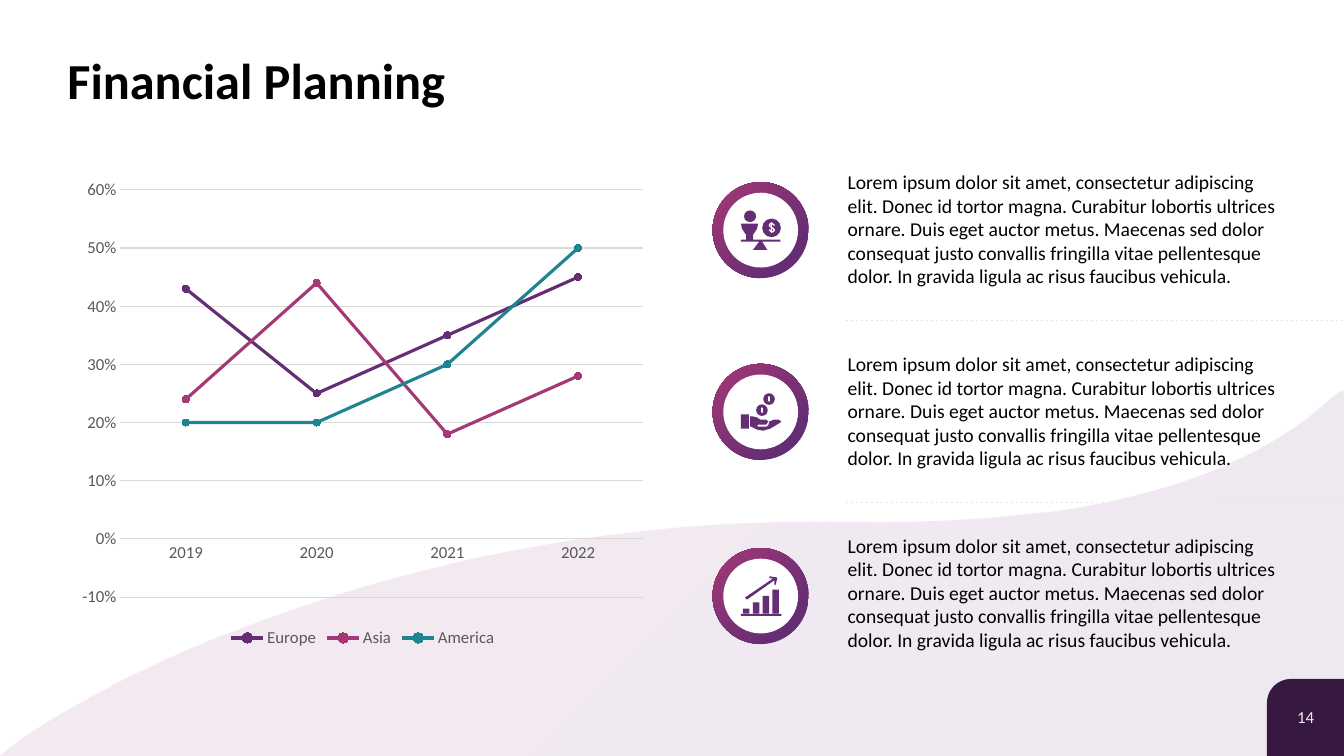
from lxml import etree
from pptx import Presentation
from pptx.chart.data import CategoryChartData
from pptx.dml.color import RGBColor
from pptx.enum import chart as charts, dml, shapes, text
from pptx.oxml import ns
from pptx.util import Cm, Pt

HUES = {
    "plum": "652D74", "rose": "A53975", "teal": "1F8492", "dark": "32163A",
    "white": "FFFFFF", "black": "000000", "gray": "595959", "grid": "D9D9D9",
    "rule": "E7E6E6",
}
LOREM = (
    "Lorem ipsum dolor sit amet, consectetur adipiscing elit. Donec id tortor magna. "
    "Curabitur lobortis ultrices ornare. Duis eget auctor metus. Maecenas sed dolor "
    "consequat justo convallis fringilla vitae pellentesque dolor. "
    "In gravida ligula ac risus faucibus vehicula."
)
SHAPE = shapes.MSO_SHAPE
BODY = [
    (28, 41), (45, 41), (44, 46), (40, 52), (40, 57), (67, 57), (67, 59), (49, 59),
    (54, 67), (40, 67), (46, 59), (28, 59), (28, 57), (33, 57), (33, 52), (29, 46),
]
PALM = [
    (37, 52), (40, 52), (44, 53), (47, 55), (53, 55), (55, 57), (53, 60), (45, 60),
    (44, 61), (45, 62), (53, 62), (55, 61), (56, 57), (61, 55), (65, 55), (68, 57),
    (67, 58), (57, 64), (50, 66), (44, 65), (38, 62), (37, 62),
]
ARROW = [
    (32, 49), (60, 30), (56, 30), (56, 28), (63, 29), (64, 30), (62, 37), (61, 36),
    (61, 32), (34, 51),
]
SIGN = [(61, 43), (59, 41), (57, 41), (56, 43), (61, 47), (60, 49), (58, 49), (56, 47)]


def rgb(name):
    return RGBColor.from_string(HUES[name])


def put(item, **vals):
    for key, val in vals.items():
        setattr(item, key, val)


def style(font, size, hue, bold=False):
    put(font, name="Calibri", size=Pt(size), bold=bold)
    font.color.rgb = rgb(hue)


def paint(shape, hue):
    shape.shadow.inherit = False
    shape.fill.solid()
    shape.fill.fore_color.rgb = rgb(hue)
    shape.line.fill.background()


def blend(shape, alpha=None):
    shape.shadow.inherit = False
    shape.line.fill.background()
    shape.fill.gradient()
    shape.fill.gradient_angle = 135
    for stop, hue, spot in zip(shape.fill.gradient_stops, ("plum", "rose"), (0.21, 1)):
        stop.color.rgb = rgb(hue)
        stop.position = spot
    if alpha:
        for tint in shape.fill._xPr.iter(ns.qn("a:srgbClr")):
            etree.SubElement(tint, ns.qn("a:alpha")).set("val", str(alpha * 1000))


def trace(tree, points, close=True):
    spots = [(Cm(x), Cm(y)) for x, y in points]
    pen = tree.build_freeform(*spots[0])
    pen.add_line_segments(spots[1:], close=close)
    return pen.convert_to_shape()


def curve(a, b, c, d, steps=40):
    for i in range(steps + 1):
        t = i / steps
        s = 1 - t
        yield tuple(s**3 * p + 3 * s * s * t * q + 3 * s * t * t * r + t**3 * e
                    for p, q, r, e in zip(a, b, c, d))


def write(tree, box, words, size, hue, **frame):
    area = tree.add_textbox(*map(Cm, box)).text_frame
    put(area, **frame)
    para = area.paragraphs[0]
    para.text = words
    style(para.font, size, hue)
    return para


def backdrop(tree, box):
    x, y, w, h = box
    mid = (x + 21.29, y + 13.16)
    points = [(x, y + h), (x + w, y + h)]
    points += curve((x + w, y + 10.46), (x + w, y + 8.15), (x + 33.58, y + 13.39), mid)
    points += curve(mid, (x + 8.99, y + 12.93), (x + 0.58, y + 18.34), (x, y + h))
    blend(trace(tree, points), 10)


def corner(tree, box):
    x, y, w, h = box
    tab = tree.add_shape(SHAPE.ROUND_1_RECTANGLE, *map(Cm, box))
    tab.adjustments[0] = 0.31
    tab._element.spPr.xfrm.set("flipH", "1")
    paint(tab, "dark")
    para = write(tree, (x + 0.46, y + 0.58, w - 0.91, h - 1.17), "14", 12, "white",
                 word_wrap=False, vertical_anchor=text.MSO_ANCHOR.MIDDLE)
    para.alignment = text.PP_ALIGN.CENTER


def heading(title, box):
    put(title, **dict(zip(("left", "top", "width", "height"), map(Cm, box))))
    area = title.text_frame
    put(area, margin_left=0, margin_right=0, margin_top=0, margin_bottom=0,
        auto_size=text.MSO_AUTO_SIZE.NONE, vertical_anchor=text.MSO_ANCHOR.MIDDLE)
    para = area.paragraphs[0]
    put(para, text="Financial Planning", alignment=text.PP_ALIGN.LEFT, line_spacing=0.9)
    style(para.font, 36, "black", True)


def trend(tree, box):
    data = CategoryChartData(number_format="0%")
    data.categories = ["2019", "2020", "2021", "2022"]
    data.add_series("Europe", (0.43, 0.25, 0.35, 0.45))
    data.add_series("Asia", (0.24, 0.44, 0.18, 0.28))
    data.add_series("America", (0.2, 0.2, 0.3, 0.5))
    kind = charts.XL_CHART_TYPE.LINE_MARKERS
    chart = tree.add_chart(kind, *map(Cm, box), data).chart
    put(chart, has_title=False, has_legend=True)
    style(chart.font, 10, "black")
    put(chart.legend, position=charts.XL_LEGEND_POSITION.BOTTOM, include_in_layout=False)
    style(chart.legend.font, 12, "gray")
    cat, val = chart.category_axis, chart.value_axis
    for axis in (cat, val):
        put(axis, major_tick_mark=charts.XL_TICK_MARK.NONE,
            minor_tick_mark=charts.XL_TICK_MARK.NONE)
        style(axis.tick_labels.font, 12, "gray")
    put(val, minimum_scale=-0.1, maximum_scale=0.6, major_unit=0.1, has_major_gridlines=True)
    put(val.tick_labels, number_format="0%", number_format_is_linked=False)
    val.format.line.fill.background()
    for line in (cat.format.line, val.major_gridlines.format.line):
        line.color.rgb = rgb("grid")
        line.width = Pt(0.75)
    chart.plots[0].vary_by_categories = False
    for run, hue in zip(chart.plots[0].series, ("plum", "rose", "teal")):
        run.smooth = False
        run.format.line.color.rgb = rgb(hue)
        run.format.line.width = Pt(2.25)
        put(run.marker, style=charts.XL_MARKER_STYLE.CIRCLE, size=5)
        for part in (run.marker.format.fill, run.marker.format.line.fill):
            part.solid()
            part.fore_color.rgb = rgb(hue)


def badge(tree, box, sort):
    x, y, size = box
    unit = size / 95
    group = tree.add_group_shape().shapes

    def form(kind, left, top, w, h, hue="plum"):
        spot = (x + left * unit, y + top * unit, w * unit, h * unit)
        shape = group.add_shape(kind, *map(Cm, spot))
        paint(shape, hue)
        return shape

    def shift(points):
        return [(x + a * unit, y + b * unit) for a, b in points]

    blend(form(SHAPE.OVAL, 0, 0, 95, 95))
    form(SHAPE.OVAL, 10.5, 10.5, 74, 74, "white")
    outline = {"balance": BODY, "hand": PALM, "growth": ARROW}[sort]
    paint(trace(group, shift(outline)), "plum")
    if sort == "balance":
        form(SHAPE.OVAL, 31, 28, 12, 11.5)
        form(SHAPE.OVAL, 49, 36, 18.5, 18.5)
        for points in (SIGN, [(58.5, 39.5), (58.5, 50.5)]):
            mark = trace(group, shift(points), False)
            mark.shadow.inherit = False
            mark.fill.background()
            mark.line.color.rgb = rgb("white")
            mark.line.width = Pt(1)
    elif sort == "hand":
        form(SHAPE.RECTANGLE, 28, 50, 8, 14)
        for left, top in ((50, 29), (43, 40)):
            form(SHAPE.OVAL, left, top, 11.5, 11.5)
            form(SHAPE.ROUNDED_RECTANGLE, left + 4.9, top + 3.2, 1.7, 5, "white")
    else:
        form(SHAPE.RECTANGLE, 28, 65, 40, 2)
        for i in range(4):
            top = 60 - 6.3 * i
            form(SHAPE.RECTANGLE, 30 + 9.7 * i, top, 6.5, 65 - top)


def point(tree, box, sort, drop):
    x, y, w, h = box
    badge(tree, (x, y + drop, 2.42), sort)
    write(tree, (x + 3.4, y, w - 3.4, h), LOREM, 14, "black", word_wrap=True,
          margin_left=0, margin_right=0, margin_top=0, margin_bottom=0)


def divide(tree, x, y, end):
    rule = tree.add_connector(shapes.MSO_CONNECTOR.STRAIGHT, Cm(x), Cm(y), Cm(end), Cm(y))
    rule.line.color.rgb = rgb("rule")
    put(rule.line, width=Pt(0.5), dash_style=dml.MSO_LINE.DASH)
    etree.SubElement(rule._element.spPr, ns.qn("a:effectLst"))


def main():
    deck = Presentation()
    put(deck, slide_width=Cm(33.87), slide_height=Cm(19.05))
    slide = deck.slides.add_slide(deck.slide_layouts[5])
    tree = slide.shapes
    corner(tree, (31.93, 17.11, 1.94, 1.94))
    backdrop(tree, (0, 0, 33.87, 19.05))
    heading(tree.title, (1.7, 1.02, 30.48, 2.16))
    trend(tree, (1.78, 4.29, 14.73, 12.14))
    for i, (sort, drop) in enumerate((("balance", 0.3), ("hand", 0.3), ("growth", 0.36))):
        top = 4.29 + 4.58 * i
        point(tree, (17.96, top, 14.22, 3), sort, drop)
        if i < 2:
            divide(tree, 21.31, top + 3.79, 33.87)
    deck.save("out.pptx")


if __name__ == "__main__":
    main()
